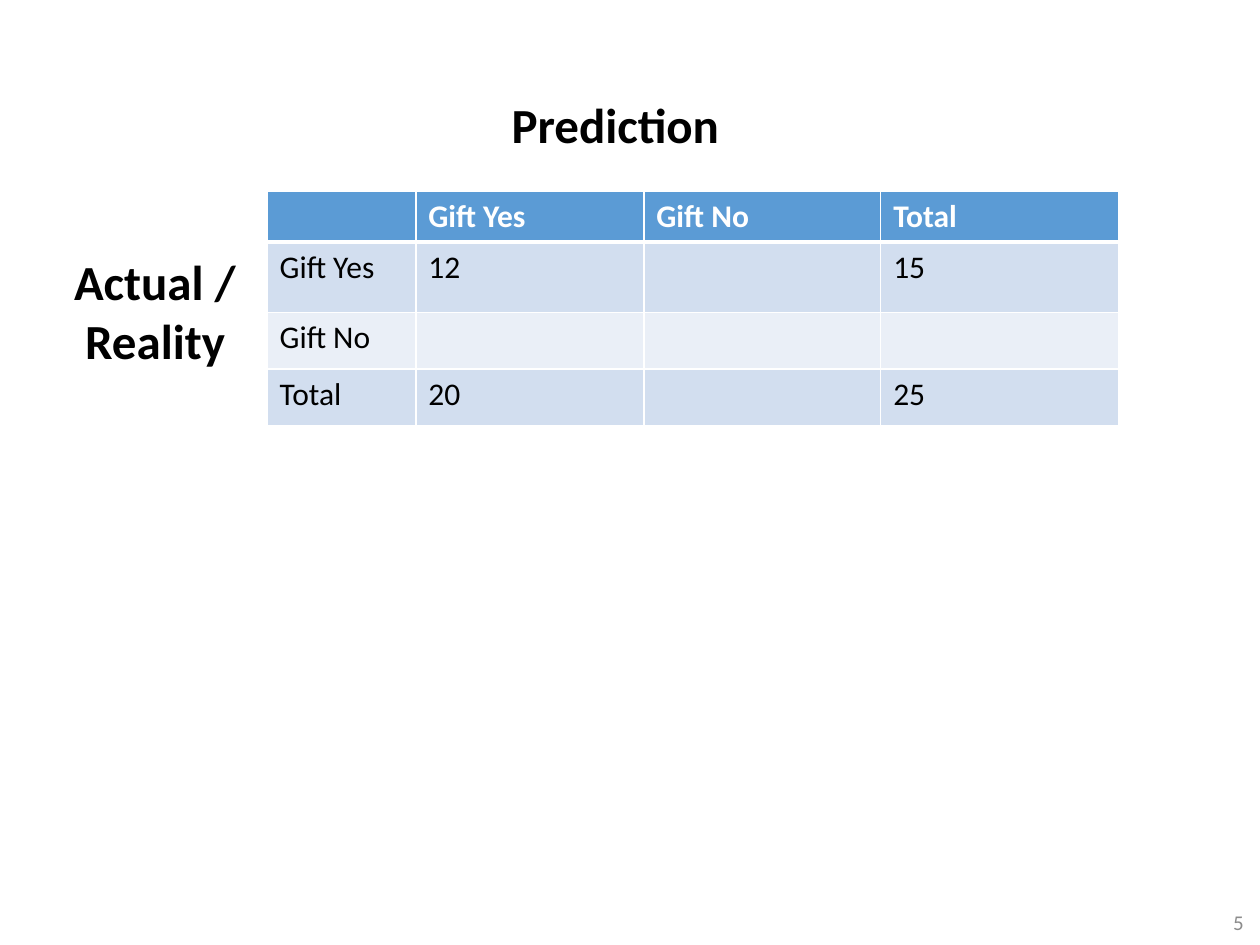
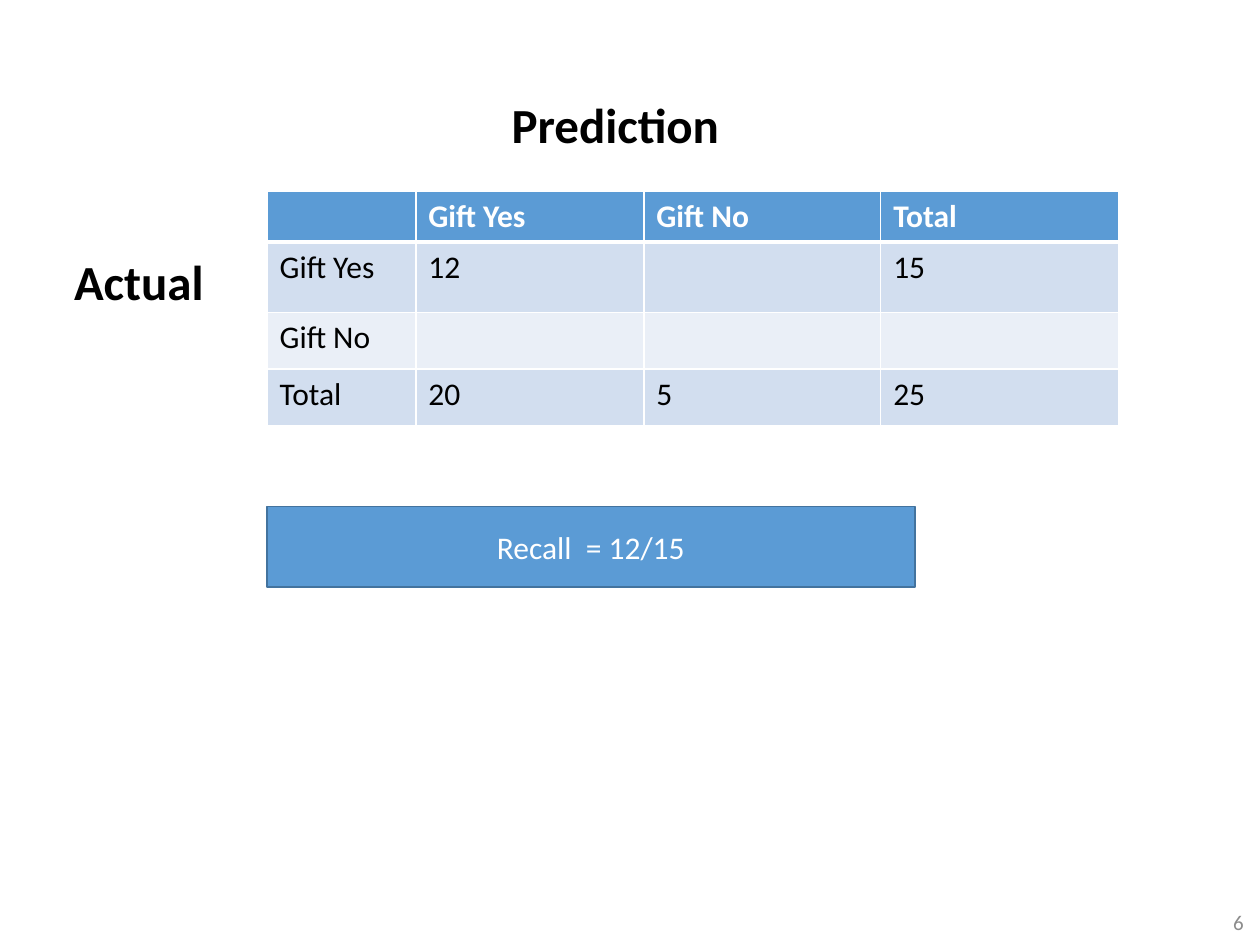
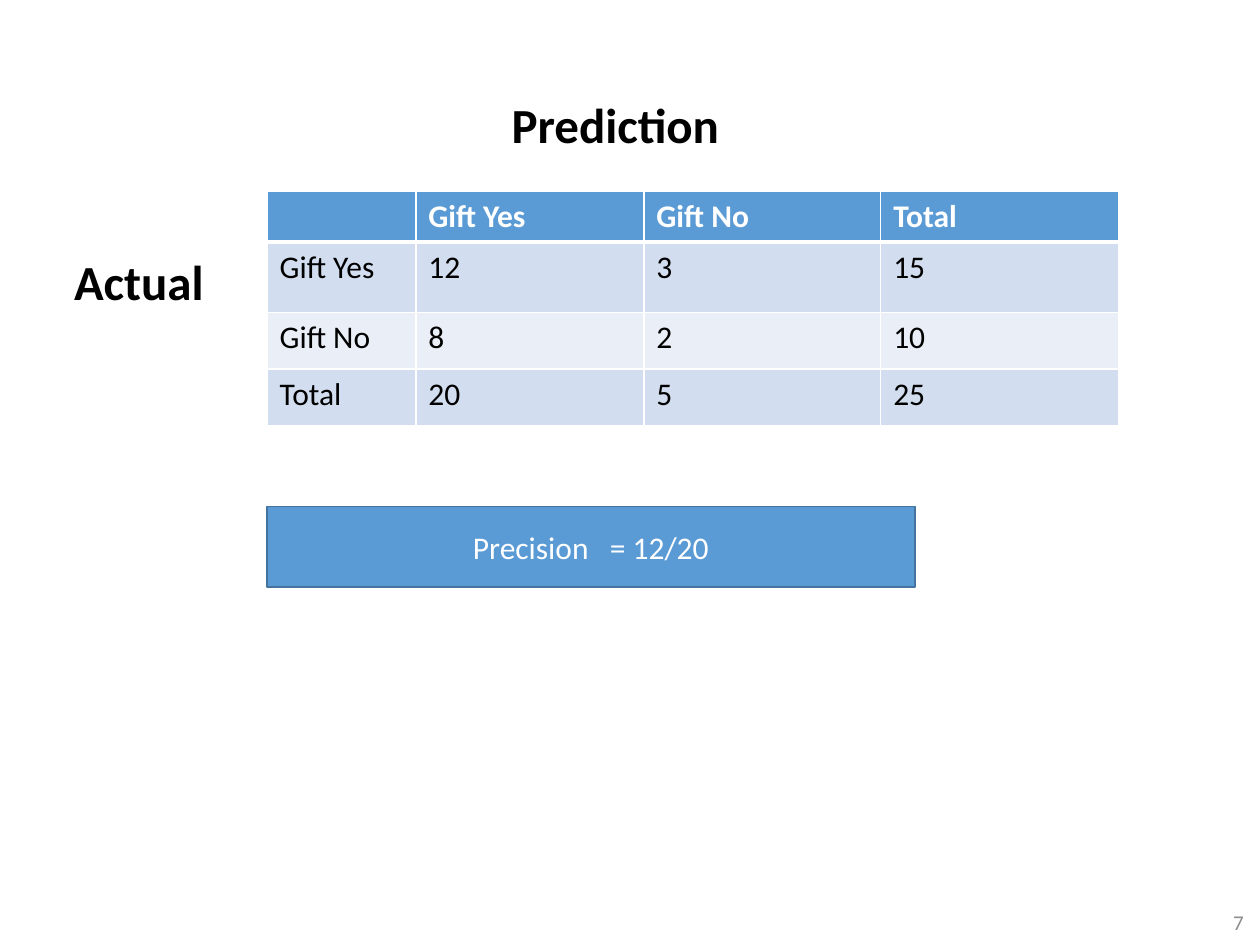
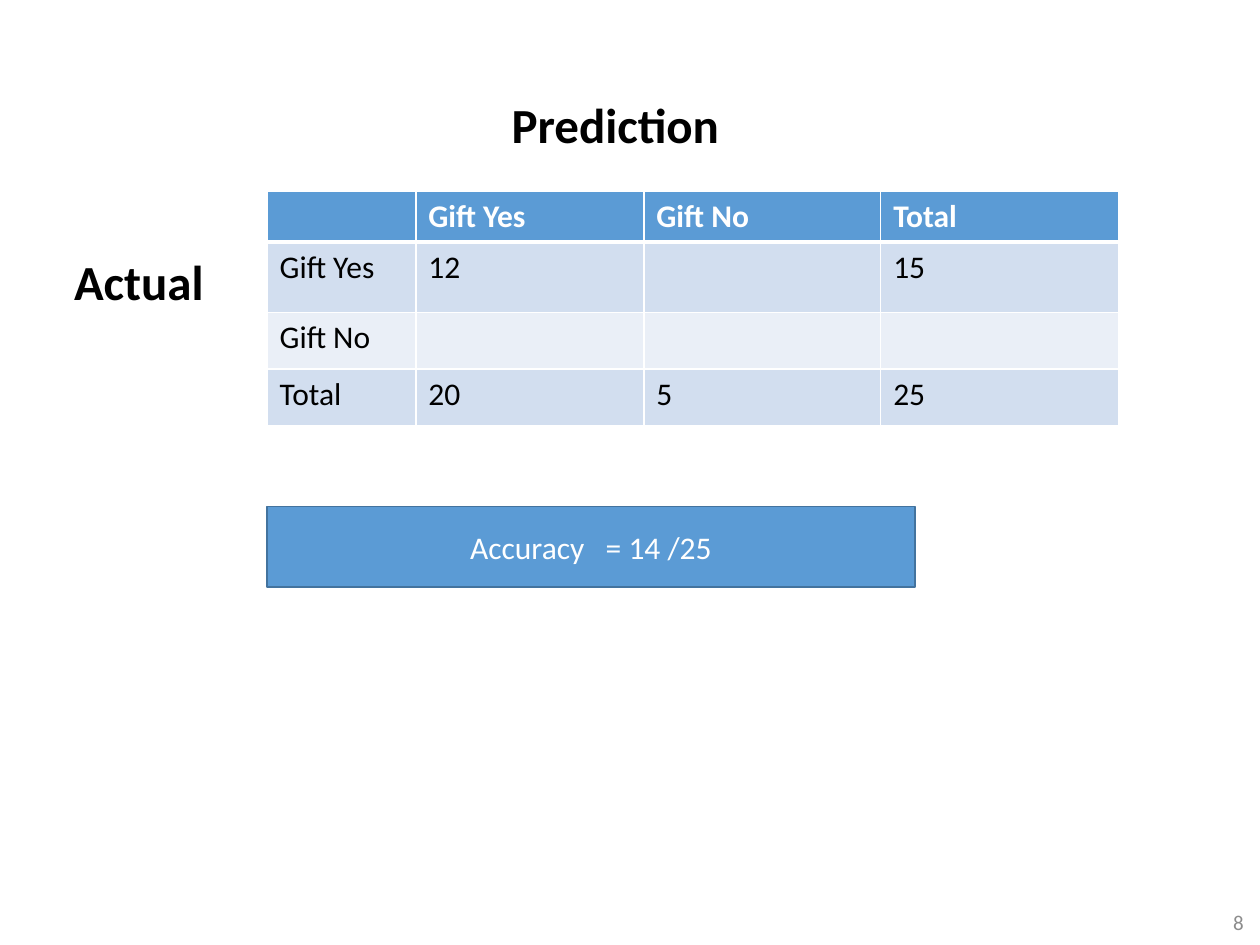
from pptx import Presentation
from pptx.dml.color import RGBColor
from pptx.enum.shapes import MSO_SHAPE as Shape
from pptx.enum.text import MSO_ANCHOR as Anchor, MSO_AUTO_SIZE as Fit, PP_ALIGN as Align
from pptx.oxml import parse_xml
from pptx.oxml.ns import nsdecls
from pptx.util import Inches, Pt

# Shared look
FONT = "Calibri"
BLACK, WHITE, GREY = "000000", "FFFFFF", "8C8C8C"
BLUE, EDGE = "5B9BD5", "43739E"
BANDS = ["D2DEEF", "EAEFF7"]
HEAD = {"size": Pt(28), "bold": True}
BODY = {"size": Pt(18), "bold": False}

# Shared grid
LEFT = 2.12
COLS = [1.18, 1.81, 1.88, 1.89]
ROWS = [0.4, 0.56, 0.45, 0.45]
LABELS = ["Gift Yes", "Gift No", "Total"]

# Side label, counts and formula of each slide
FIRST = 5
PARTIAL = [["12", "", "15"], ["", "", ""], ["20", "5", "25"]]
FULL = [["12", "3", "15"], ["8", "2", "10"], ["20", "5", "25"]]
SLIDES = [
    (["Actual /", " Reality"], PARTIAL[:2] + [["20", "", "25"]], None),
    (["Actual"], PARTIAL, "Recall  = 12/15"),
    (["Actual"], FULL, "Precision   = 12/20"),
    (["Actual"], PARTIAL, "Accuracy   = 14 /25"),
]


def rgb(code):
    return RGBColor.from_string(code)


def place(shape, *box):
    for name, size in zip(("left", "top", "width", "height"), box):
        setattr(shape, name, Inches(size))


def write(frame, lines, style, color=BLACK, align=Align.LEFT):
    """Fill a text frame with one paragraph for each line."""
    for i, line in enumerate(lines):
        par = frame.add_paragraph() if i else frame.paragraphs[0]
        par.alignment = align
        run = par.add_run()
        run.text = line
        for name, value in style.items():
            setattr(run.font, name, value)
        run.font.name = FONT
        run.font.color.rgb = rgb(color)


def add_title(slide, text):
    title = slide.shapes.title
    place(title, 3.96, 0.7, 4.29, 0.57)
    frame = title.text_frame
    frame.auto_size = Fit.NONE
    frame.vertical_anchor = Anchor.TOP
    write(frame, [text], HEAD)


def add_text(slide, box, lines, style, color=BLACK, align=Align.LEFT, anchor=Anchor.TOP):
    frame = slide.shapes.add_textbox(*map(Inches, box)).text_frame
    frame.word_wrap = True
    frame.vertical_anchor = anchor
    write(frame, lines, style, color, align)


def add_edges(cell, top, bottom):
    """Draw white cell borders; top and bottom are widths in points."""
    props = cell._tc.get_or_add_tcPr()
    for side, width in {"L": 1, "R": 1, "T": top, "B": bottom}.items():
        props.append(parse_xml(
            f'<a:ln{side} {nsdecls("a")} w="{Pt(width)}"><a:solidFill>'
            f'<a:srgbClr val="{WHITE}"/></a:solidFill></a:ln{side}>'))


def add_matrix(slide, counts):
    rows = [["", *LABELS]] + [[name, *row] for name, row in zip(LABELS, counts)]
    box = map(Inches, (LEFT, 1.52, sum(COLS), sum(ROWS)))
    table = slide.shapes.add_table(len(ROWS), len(COLS), *box).table
    for col, width in zip(table.columns, COLS):
        col.width = Inches(width)
    for r, row in enumerate(rows):
        table.rows[r].height = Inches(ROWS[r])
        for c, text in enumerate(row):
            cell = table.cell(r, c)
            add_edges(cell, 3 if r == 1 else 1, 3 if r == 0 else 1)
            cell.fill.solid()
            cell.fill.fore_color.rgb = rgb(BANDS[(r - 1) % 2] if r else BLUE)
            if text:
                write(cell.text_frame, [text], {**BODY, "bold": r == 0},
                      BLACK if r else WHITE)


def add_formula(slide, text):
    bar = slide.shapes.add_shape(
        Shape.RECTANGLE, *map(Inches, (LEFT, 4.02, 5.14, 0.64)))
    bar.shadow.inherit = False
    bar.fill.solid()
    bar.fill.fore_color.rgb = rgb(BLUE)
    bar.line.color.rgb = rgb(EDGE)
    bar.line.width = Pt(1)
    bar.text_frame.vertical_anchor = Anchor.MIDDLE
    write(bar.text_frame, [text], BODY, WHITE, Align.CENTER)


def main():
    deck = Presentation()
    deck.slide_width, deck.slide_height = Inches(10), Inches(7.5)
    for page, (side, counts, formula) in enumerate(SLIDES, FIRST):
        slide = deck.slides.add_slide(deck.slide_layouts[5])
        add_text(slide, (7.72, 7.2, 2.25, 0.23), [str(page)], {"size": Pt(12)},
                 GREY, Align.RIGHT, Anchor.MIDDLE)
        add_matrix(slide, counts)
        add_title(slide, "Prediction")
        add_text(slide, (0.49, 1.95, 1.73, 0.1 + 0.47 * len(side)), side, HEAD)
        if formula:
            add_formula(slide, formula)
    deck.save("out.pptx")


if __name__ == "__main__":
    main()
